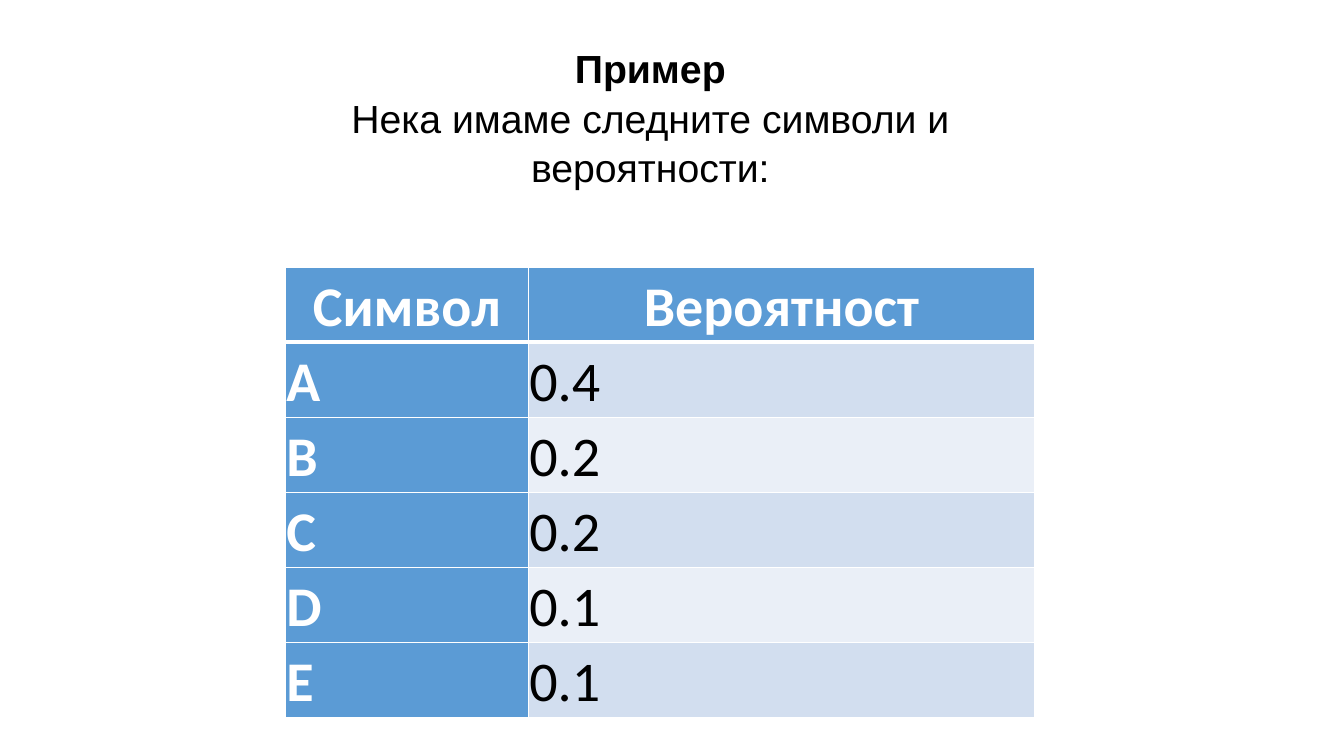
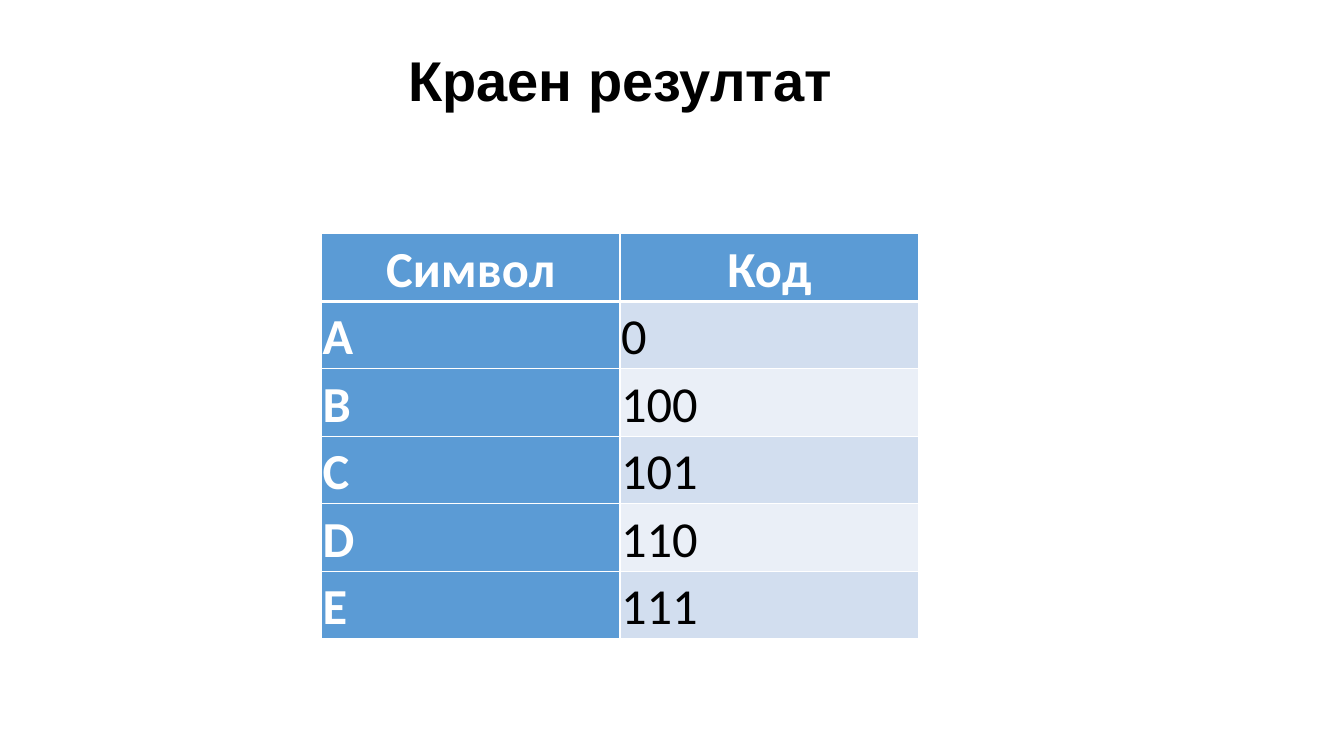
from pptx import Presentation
from pptx.dml.color import RGBColor
from pptx.enum.text import MSO_ANCHOR, PP_ALIGN
from pptx.oxml import parse_xml
from pptx.oxml.ns import nsdecls
from pptx.util import Inches, Pt

MIDDLE = MSO_ANCHOR.MIDDLE
LEFT, CENTER = PP_ALIGN.LEFT, PP_ALIGN.CENTER
COLORS = {"text": "000000", "light": "FFFFFF", "head": "5B9BD5",
          "band_dark": "D2DEEF", "band_light": "EAEFF7"}
TITLE_FONT, TABLE_FONT = "Arial", "Calibri"


class Deck:
    """Holds the shared style and the current slide."""

    def __init__(self):
        self.prs = Presentation()
        self.prs.slide_width, self.prs.slide_height = Inches(13.33), Inches(7.5)
        self.s = None

    def slide(self):
        self.s = self.prs.slides.add_slide(self.prs.slide_layouts[6])

    def run(self, p, text, font, size, color, bold):
        r = p.add_run()
        r.text = text
        r.font.name, r.font.size, r.font.bold = font, Pt(size), bold
        r.font.color.rgb = RGBColor.from_string(COLORS[color])

    def title(self, left, width, height, size, lines):
        sp = self.s.shapes.add_textbox(Inches(left), Inches(0.4), Inches(width), Inches(height))
        tf = sp.text_frame
        tf.word_wrap = True
        tf.vertical_anchor = MIDDLE
        tf.margin_left = tf.margin_right = 0
        for i, line in enumerate(lines):
            p = tf.add_paragraph() if i else tf.paragraphs[0]
            p.alignment = CENTER
            p.line_spacing = 1.05
            self.run(p, line, TITLE_FONT, size, "text", i == 0)

    def borders(self, cell, is_header, below_header):
        widths = {"lnL": 1, "lnR": 1, "lnT": 3 if below_header else 1,
                  "lnB": 3 if is_header else 1}
        tc_pr = cell._tc.get_or_add_tcPr()
        for i, (tag, width) in enumerate(widths.items()):
            tc_pr.insert(i, parse_xml(
                f'<a:{tag} {nsdecls("a")} w="{Pt(width)}"><a:solidFill>'
                f'<a:srgbClr val="{COLORS["light"]}"/></a:solidFill></a:{tag}>'))

    def table(self, left, top, col_widths, row_height, size, rows):
        tbl = self.s.shapes.add_table(
            len(rows), len(col_widths), Inches(left), Inches(top),
            Inches(sum(col_widths)), Inches(row_height * len(rows))).table
        for col, width in zip(tbl.columns, col_widths):
            col.width = Inches(width)
        for i, row in enumerate(rows):
            for j, text in enumerate(row):
                cell = tbl.cell(i, j)
                is_head = i == 0 or j == 0
                fill = "head" if is_head else "band_dark" if i % 2 else "band_light"
                cell.fill.solid()
                cell.fill.fore_color.rgb = RGBColor.from_string(COLORS[fill])
                cell.vertical_anchor = MIDDLE
                cell.margin_left = cell.margin_right = Inches(0.01)
                cell.margin_top = cell.margin_bottom = Inches(0.01)
                self.borders(cell, i == 0, i == 1)
                p = cell.text_frame.paragraphs[0]
                p.alignment = LEFT if i else CENTER
                p.line_spacing, p.space_after = 1.07, Pt(8)
                self.run(p, text, TABLE_FONT, size, "light" if is_head else "text", is_head)


def main():
    symbols = "ABCDE"
    deck = Deck()

    deck.slide()
    deck.table(2.83, 2.65, [2.41, 5.02], 0.74, 40,
               [("Символ", "Вероятност"), *zip(symbols, ["0.4", "0.2", "0.2", "0.1", "0.1"])])
    deck.title(2.38, 8.14, 1.51, 28,
               ["Пример", "Нека имаме следните символи и вероятности:"])

    deck.slide()
    deck.table(3.19, 2.32, [2.96, 2.96], 0.67, 36,
               [("Символ", "Код"), *zip(symbols, ["0", "100", "101", "110", "111"])])
    deck.title(1.54, 9.22, 0.74, 40, ["Краен резултат"])

    deck.prs.save("out.pptx")


if __name__ == "__main__":
    main()
